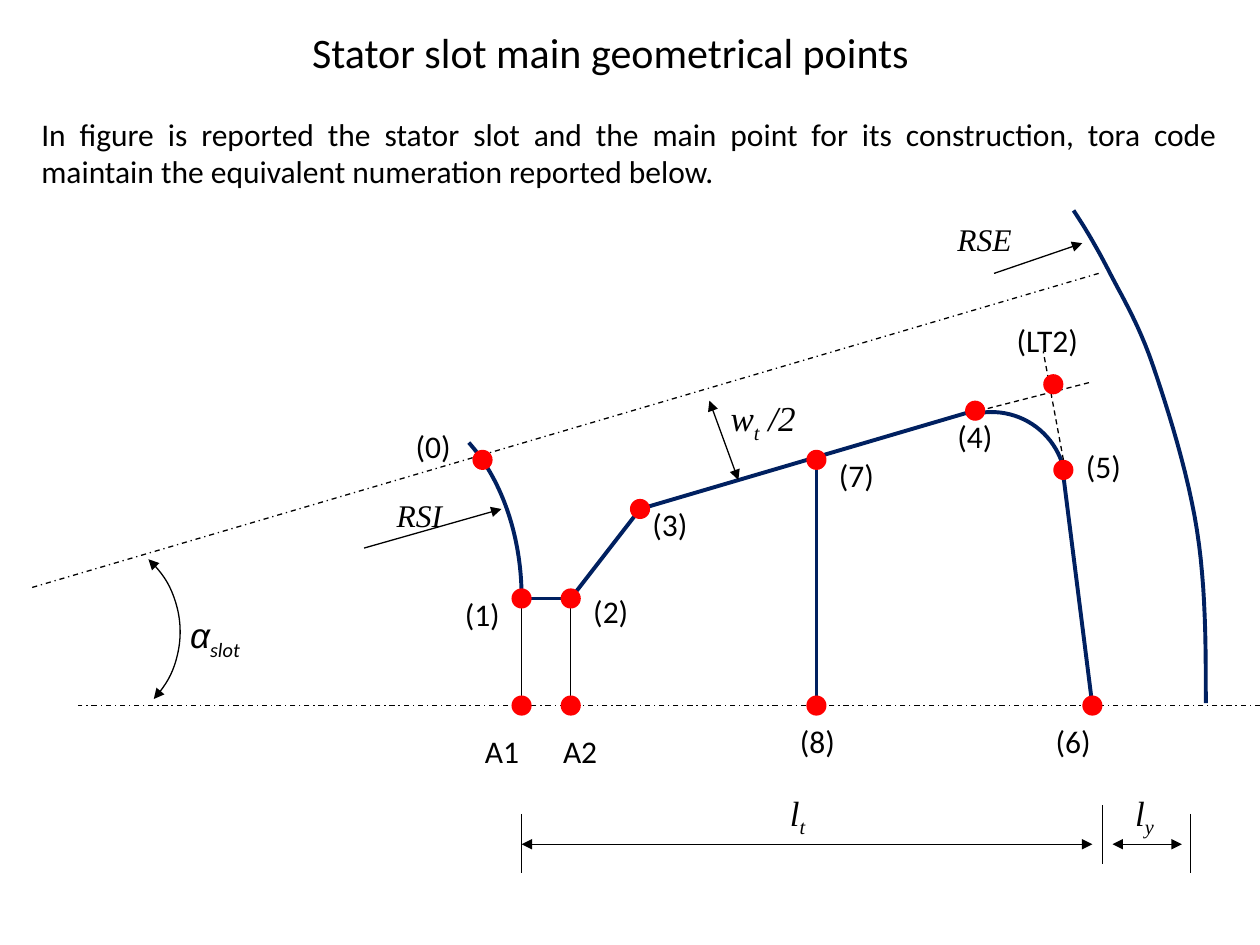
"""Build the slide showing the main geometrical points of a stator slot."""
from typing import NamedTuple, Optional

from lxml import etree
from pptx import Presentation
from pptx.dml.color import RGBColor
from pptx.enum import dml, shapes, text
from pptx.oxml.ns import qn
from pptx.util import Inches, Pt

BLACK = RGBColor(0, 0, 0)
NAVY = RGBColor(0x00, 0x20, 0x60)
RED = RGBColor(0xFF, 0, 0)
SANS, SERIF, GREEK = "Calibri", "Times New Roman", "Arial"
DASH, DASH_DOT = dml.MSO_LINE.DASH, dml.MSO_LINE.DASH_DOT
LEFT, CENTER, JUSTIFY = text.PP_ALIGN.LEFT, text.PP_ALIGN.CENTER, text.PP_ALIGN.JUSTIFY
DOT = 0.16
AXIS_Y, DIM_Y, POINT_W = 5.6, 6.7, 0.55


class Segment(NamedTuple):
    x1: float
    y1: float
    x2: float
    y2: float
    color: RGBColor = BLACK
    width: float = 0.75
    dash: Optional[dml.MSO_LINE] = None
    ends: tuple = ()


class Arc(NamedTuple):
    x: float
    y: float
    w: float
    h: float
    rotation: float = 0
    start: Optional[float] = None
    color: RGBColor = NAVY
    width: float = 2.25
    ends: tuple = ()


class Run(NamedTuple):
    text: str
    font: str = SERIF
    sub: bool = False


class Symbol(NamedTuple):
    x: float
    y: float
    w: float
    runs: tuple
    size: float = 20


class Point(NamedTuple):
    x: float
    y: float
    label: str
    label_x: float
    label_y: float
    label_w: float = POINT_W


HEAD, BOTH = ("headEnd",), ("headEnd", "tailEnd")

OUTLINE = [(4.14, 4.75), (4.53, 4.75), (5.08, 4.04), (7.73, 3.26)]
SEGMENTS = [Segment(*a, *b, NAVY, 2.25) for a, b in zip(OUTLINE, OUTLINE[1:])] + [
    Segment(8.43, 3.7, 8.67, AXIS_Y, NAVY, 2.25),
    Segment(6.48, 3.73, 6.48, AXIS_Y, NAVY, 1.5),
    Segment(10, AXIS_Y, 0.62, AXIS_Y, dash=DASH_DOT),
    Segment(8.72, 2.17, 0.23, 4.67, dash=DASH_DOT),
    Segment(7.77, 3.26, 8.67, 3.03, dash=DASH),
    Segment(8.44, 3.65, 8.28, 2.79, dash=DASH),
    Segment(3.98, 4.04, 2.89, 4.35, ends=HEAD),
    Segment(8.59, 1.93, 7.89, 2.17, ends=HEAD),
    Segment(5.63, 3.18, 5.86, 3.81, ends=BOTH),
    Segment(4.14, DIM_Y, 8.67, DIM_Y, ends=BOTH),
    Segment(8.83, DIM_Y, 9.38, DIM_Y, ends=BOTH),
]
SEGMENTS += [Segment(x, 4.75, x, AXIS_Y) for x in (4.14, 4.53)]
SEGMENTS += [Segment(x, y, x, y + 0.47) for x, y in ((4.14, 6.46), (8.75, 6.39), (9.45, 6.46))]

ARCS = [
    Arc(-0.14, 4.23, 1.57, 1.57, 42.8, color=BLACK, width=0.75, ends=BOTH),
    Arc(1.95, 3.18, 2.19, 3.13, start=179.25),
    Arc(7.28, 3.27, 1.18, 1.18, 344.4),
]

OUTER_CURVE = [
    ((9.57, 5.58), (9.57, 5.12), (9.57, 4.66), (9.5, 4.21)),
    ((9.5, 4.21), (9.43, 3.76), (9.27, 3.25), (9.15, 2.9)),
    ((9.15, 2.9), (9.03, 2.55), (8.89, 2.33), (8.79, 2.13)),
    ((8.79, 2.13), (8.68, 1.92), (8.6, 1.79), (8.52, 1.67)),
]

POINTS = [
    Point(3.83, 3.65, "(0)", 3.2, 3.34),
    Point(4.14, 4.75, "(1)", 3.59, 4.67),
    Point(4.53, 4.75, "(2)", 4.61, 4.65),
    Point(5.08, 4.04, "(3)", 5.08, 3.96),
    Point(7.74, 3.26, "(4)", 7.5, 3.26),
    Point(8.44, 3.73, "(5)", 8.52, 3.5),
    Point(8.67, AXIS_Y, "(6)", 8.28, 5.68),
    Point(6.48, 3.65, "(7)", 6.56, 3.57),
    Point(6.48, AXIS_Y, "(8)", 6.25, 5.68),
    Point(4.14, AXIS_Y, "A1", 3.75, 5.76),
    Point(4.53, AXIS_Y, "A2", 4.37, 5.76),
    Point(8.36, 3.05, "(LT2)", 7.97, 2.5, 0.78),
]

SYMBOLS = [
    Symbol(3.05, 3.89, 0.78, (Run("RSI"),), 18),
    Symbol(7.5, 1.7, 0.78, (Run("RSE"),), 18),
    Symbol(1.41, 4.82, 1.48, (Run("α", GREEK), Run("slot", SANS, True))),
    Symbol(6.17, 6.23, 0.55, (Run("l"), Run("t", sub=True))),
    Symbol(8.91, 6.23, 0.55, (Run("l"), Run("y", sub=True))),
    Symbol(5.7, 3.1, 0.86, (Run("w"), Run("t", sub=True), Run(" /2"))),
]


def add_text(s, runs, x: float, y: float, w: float, h: float = 0.4, *,
             size: float = 18, italic: bool = False, align=LEFT) -> None:
    sp = s.shapes.add_textbox(Inches(x), Inches(y), Inches(w), Inches(h))
    tf = sp.text_frame
    tf.word_wrap = True
    tf.auto_size = text.MSO_AUTO_SIZE.SHAPE_TO_FIT_TEXT
    p = tf.paragraphs[0]
    p.alignment = align
    for run in runs:
        r = p.add_run()
        r.text = run.text
        r.font.name, r.font.size, r.font.italic = run.font, Pt(size), italic
        r.font.color.rgb = BLACK
        if run.sub:
            r.font._element.set("baseline", "-25000")


def style_line(sp, color: RGBColor, width: float, ends: tuple = ()) -> None:
    sp.line.color.rgb = color
    sp.line.width = Pt(width)
    for end in ends:
        etree.SubElement(sp.line._get_or_add_ln(), qn(f"a:{end}"), type="triangle")


def add_segment(s, seg: Segment) -> None:
    ends = [Inches(v) for v in seg[:4]]
    sp = s.shapes.add_connector(shapes.MSO_CONNECTOR.STRAIGHT, *ends)
    if seg.dash:
        sp.line.dash_style = seg.dash
    style_line(sp, seg.color, seg.width, seg.ends)
    etree.SubElement(sp._element.spPr, qn("a:effectLst"))


def add_arc(s, arc: Arc) -> None:
    sp = s.shapes.add_shape(shapes.MSO_SHAPE.ARC, *(Inches(v) for v in arc[:4]))
    sp.rotation = arc.rotation
    if arc.start is not None:
        sp.adjustments[0] = arc.start
    sp.fill.background()
    sp.shadow.inherit = False
    style_line(sp, arc.color, arc.width, arc.ends)


def bezier(curve: tuple, t: float) -> tuple:
    weights = ((1 - t) ** 3, 3 * t * (1 - t) ** 2, 3 * t * t * (1 - t), t ** 3)
    return tuple(Inches(sum(k * p[i] for k, p in zip(weights, curve))) for i in (0, 1))


def add_outer_curve(s, steps: int = 12) -> None:
    vertices = [bezier(c, i / steps) for c in OUTER_CURVE for i in range(1, steps + 1)]
    builder = s.shapes.build_freeform(*bezier(OUTER_CURVE[0], 0))
    builder.add_line_segments(vertices, close=False)
    sp = builder.convert_to_shape()
    sp.fill.background()
    sp.shadow.inherit = False
    style_line(sp, NAVY, 2.25)


def add_point(s, pt: Point) -> None:
    sp = s.shapes.add_shape(shapes.MSO_SHAPE.OVAL, Inches(pt.x - DOT / 2),
                            Inches(pt.y - DOT / 2), Inches(DOT), Inches(DOT))
    sp.fill.solid()
    sp.fill.fore_color.rgb = RED
    sp.line.fill.background()
    sp.shadow.inherit = False
    add_text(s, [Run(pt.label, SANS)], pt.label_x, pt.label_y, pt.label_w)


def main() -> None:
    prs = Presentation()
    prs.slide_width, prs.slide_height = Inches(10), Inches(7.5)
    s = prs.slides.add_slide(prs.slide_layouts[6])
    add_text(s, [Run("Stator slot main geometrical points", SANS)],
             0, 0.16, 9.69, 0.5, size=24, align=CENTER)
    add_text(s, [Run("In figure is reported the stator slot and the main point for its "
                     "construction, tora code maintain the equivalent numeration "
                     "reported below.", SANS)], 0.23, 0.86, 9.53, 0.71, align=JUSTIFY)
    for arc in ARCS:
        add_arc(s, arc)
    add_outer_curve(s)
    for seg in SEGMENTS:
        add_segment(s, seg)
    for pt in POINTS:
        add_point(s, pt)
    for sym in SYMBOLS:
        add_text(s, sym.runs, sym.x, sym.y, sym.w, 0.02 * sym.size + 0.04,
                 size=sym.size, italic=True)
    prs.save("out.pptx")


main()
